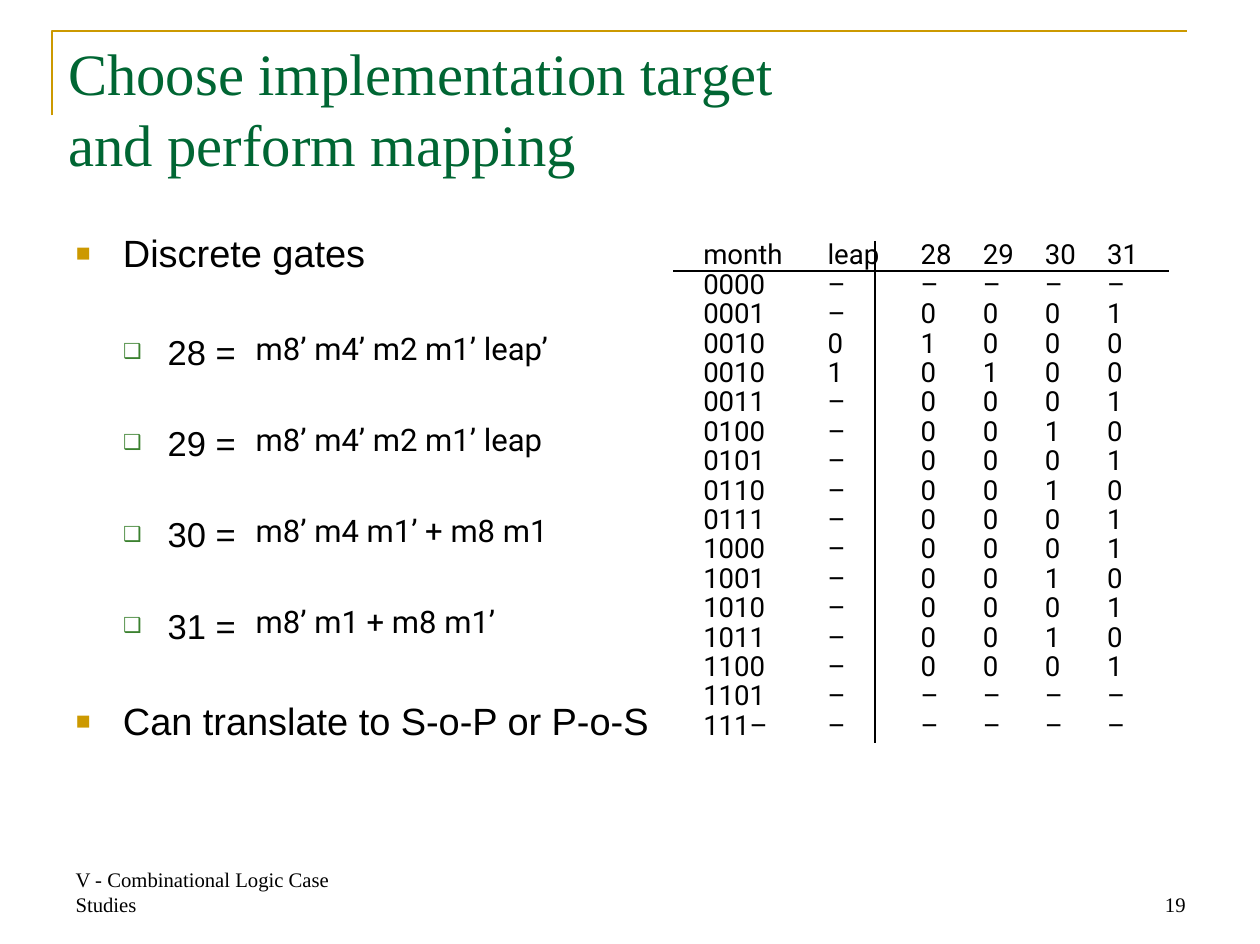
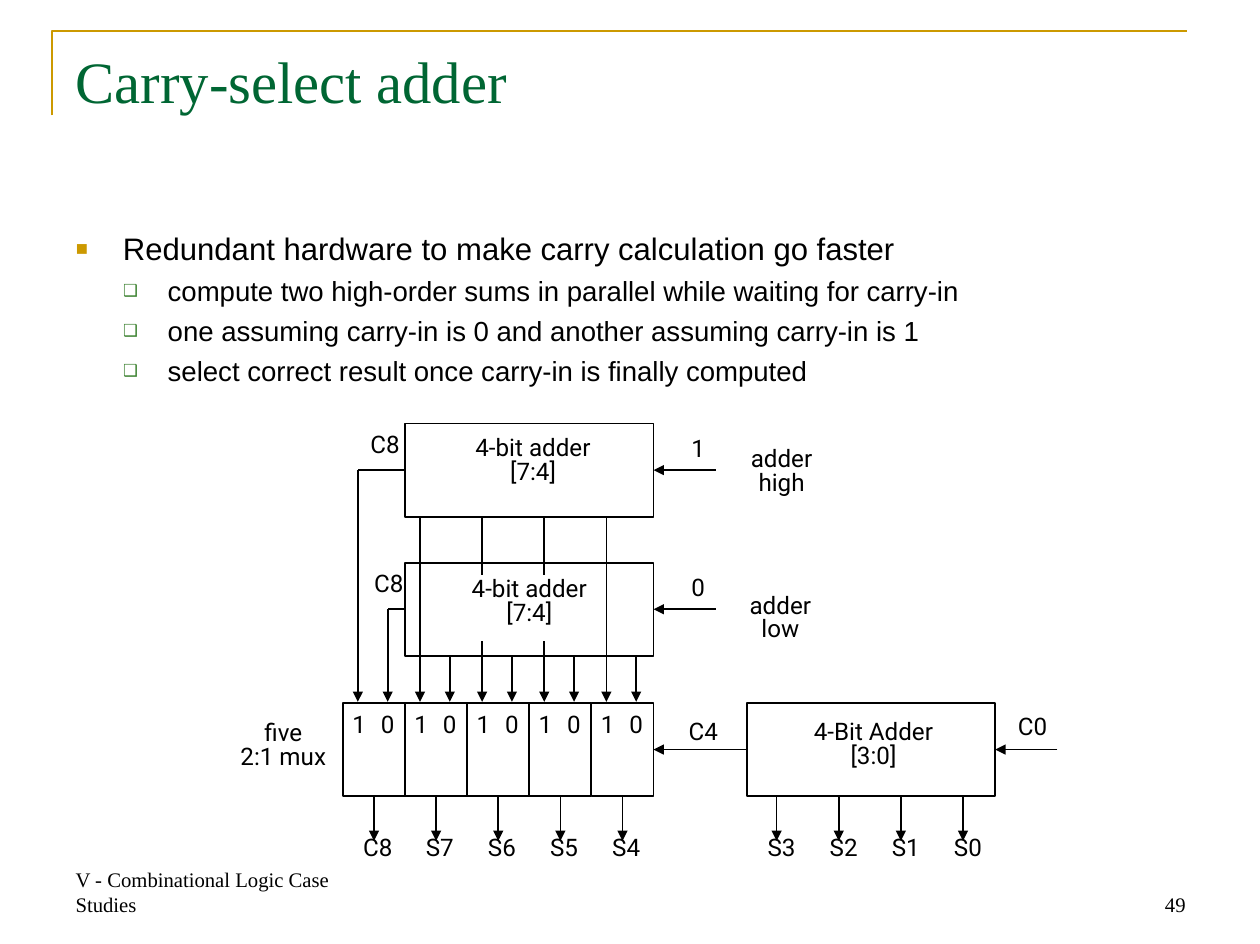
import copy

import pptx
import pptx.chart.data
import pptx.dml.color
import pptx.enum.shapes
import pptx.enum.text
import pptx.oxml.ns
import pptx.util
from lxml import etree

Inches = pptx.util.Inches
Pt = pptx.util.Pt
qn = pptx.oxml.ns.qn
ALIGN = pptx.enum.text.PP_ALIGN
ANCHOR = pptx.enum.text.MSO_ANCHOR

BLACK, WHITE, GOLD, GREEN, LEAF = "000000", "FFFFFF", "CC9900", "006633", "3B812F"
TOP, LEFT, BOTTOM, RIGHT = range(4)

TITLE = {"name": "Times New Roman", "size": Pt(34), "color": GREEN}
FOOTER = {"name": "Times New Roman", "size": Pt(12), "color": BLACK}
BODY = {"name": "Arial", "color": BLACK}
DIAGRAM = {"name": "Roboto", "size": Pt(14), "color": BLACK}
FORMULA = {"name": "Roboto", "size": Pt(18), "color": BLACK}
TABLE = {"name": "Roboto", "size": Pt(16), "color": BLACK}

# character, colour, size in %, left margin, hanging indent
BULLETS = [("■", GOLD, 65, 0.38, 0.38), ("❑", LEAF, 60, 0.74, 0.36)]

TRUTH_TABLE = """month leap 28 29 30 31
0000 – – – – –
0001 – 0 0 0 1
0010 0 1 0 0 0
0010 1 0 1 0 0
0011 – 0 0 0 1
0100 – 0 0 1 0
0101 – 0 0 0 1
0110 – 0 0 1 0
0111 – 0 0 0 1
1000 – 0 0 0 1
1001 – 0 0 1 0
1010 – 0 0 0 1
1011 – 0 0 1 0
1100 – 0 0 0 1
1101 – – – – –
111– – – – – –"""


def rgb(value):
    return pptx.dml.color.RGBColor.from_string(value)


def assign(obj, values):
    for name, value in values.items():
        setattr(obj, name, value)


def write(p, text, style, **layout):
    """Fill a paragraph; \\v breaks a line and keeps the run's format."""
    p.text = text
    assign(p, layout)
    for r in p.runs:
        assign(r.font, {k: v for k, v in style.items() if k != "color"})
        r.font.color.rgb = rgb(style["color"])
    for br in p._p.findall(qn("a:br")):
        br.insert(0, copy.deepcopy(p.runs[0]._r.rPr))


def add_bullet(p, level):
    char, color, size, margin, hang = BULLETS[level]
    p.level = level
    pPr = p._p.get_or_add_pPr()
    pPr.set("marL", str(Inches(margin)))
    pPr.set("indent", str(-Inches(hang)))
    clr = etree.SubElement(pPr, qn("a:buClr"))
    etree.SubElement(clr, qn("a:srgbClr"), val=color)
    etree.SubElement(pPr, qn("a:buSzPct"), val=str(size * 1000))
    etree.SubElement(pPr, qn("a:buChar"), char=char)


class Deck:
    def __init__(self):
        self.prs = pptx.Presentation()
        self.prs.slide_width, self.prs.slide_height = Inches(10.14), Inches(7.6)
        self.s = None

    def new_slide(self, number, title, x, y):
        """Start a slide with its frame, footer, number and title."""
        self.s = self.prs.slides.add_slide(self.prs.slide_layouts[1])
        fb = self.s.shapes.build_freeform(Inches(0.42), Inches(0.93))
        fb.add_line_segments([(Inches(0.42), Inches(0.25)),
                              (Inches(9.55), Inches(0.25))], close=False)
        self.outline(fb.convert_to_shape(), GOLD, 1.5)
        self.text(0.51, 6.92, 2.37, 0.51, "V - Combinational Logic Case Studies",
                  FOOTER, anchor=ANCHOR.BOTTOM)
        self.text(7.27, 6.92, 2.37, 0.51, str(number), FOOTER,
                  anchor=ANCHOR.BOTTOM, alignment=ALIGN.RIGHT)
        tf = self.placeholder(self.s.shapes.title, x, y, 9.12, 1.26)
        write(tf.paragraphs[0], title, TITLE, alignment=ALIGN.LEFT)

    def placeholder(self, sp, x, y, w, h):
        assign(sp, {"left": Inches(x), "top": Inches(y),
                    "width": Inches(w), "height": Inches(h)})
        assign(sp.text_frame, {"vertical_anchor": ANCHOR.TOP, "word_wrap": True,
                               "auto_size": pptx.enum.text.MSO_AUTO_SIZE.NONE})
        return sp.text_frame

    def bullets(self, items, sizes):
        """items: (level, text, space before in points); sizes: points by level."""
        tf = self.placeholder(self.s.placeholders[1], 0.51, 1.8, 9.12, 4.99)
        for i, (level, text, gap) in enumerate(items):
            p = tf.add_paragraph() if i else tf.paragraphs[0]
            add_bullet(p, level)
            write(p, text, {**BODY, "size": Pt(sizes[level])}, space_before=Pt(gap))

    def text(self, x, y, w, h, text, style, anchor=ANCHOR.TOP, **layout):
        sp = self.s.shapes.add_textbox(Inches(x), Inches(y), Inches(w), Inches(h))
        assign(sp.text_frame, {"word_wrap": True, "vertical_anchor": anchor})
        write(sp.text_frame.paragraphs[0], text, style, **layout)
        return sp

    def label(self, cx, y, text, w=0.6, h=0.33):
        """Diagram text centred on cx."""
        sp = self.text(cx - w / 2, y, w, h, text, DIAGRAM,
                       alignment=ALIGN.CENTER, line_spacing=Pt(13.9))
        assign(sp.text_frame, {"margin_left": 0, "margin_right": 0,
                               "margin_top": Inches(0.03),
                               "margin_bottom": Inches(0.03)})
        return sp

    def outline(self, sp, color=BLACK, width=1):
        sp.shadow.inherit = False
        sp.fill.background()
        sp.line.color.rgb = rgb(color)
        sp.line.width = Pt(width)

    def box(self, x, y, w):
        sp = self.s.shapes.add_shape(pptx.enum.shapes.MSO_SHAPE.RECTANGLE,
                                     Inches(x), Inches(y), Inches(w), Inches(0.75))
        self.outline(sp)
        return sp

    def line(self, x1, y1, x2, y2, arrow=False, begin=None, end=None):
        """begin and end are optional (shape, side) joints."""
        c = self.s.shapes.add_connector(pptx.enum.shapes.MSO_CONNECTOR.STRAIGHT,
                                        Inches(x1), Inches(y1), Inches(x2), Inches(y2))
        c.line.color.rgb = rgb(BLACK)
        c.line.width = Pt(1)
        spPr = c.element.spPr
        if arrow:
            etree.SubElement(spPr.find(qn("a:ln")), qn("a:tailEnd"), type="triangle")
        etree.SubElement(spPr, qn("a:effectLst"))
        if begin:
            c.begin_connect(*begin)
        if end:
            c.end_connect(*end)

    def table(self, x, y, widths, rows):
        row_h = Pt(17)
        tbl = self.s.shapes.add_table(len(rows), len(widths), Inches(x), Inches(y),
                                      Inches(sum(widths)), row_h * len(rows)).table
        assign(tbl, {"first_row": False, "horz_banding": False})
        for col, w in zip(tbl.columns, widths):
            col.width = Inches(w)
        for row, values in zip(tbl.rows, rows):
            row.height = row_h
            for cell, value in zip(row.cells, values):
                cell.fill.background()
                assign(cell, dict.fromkeys(("margin_left", "margin_right",
                                            "margin_top", "margin_bottom"), 0))
                write(cell.text_frame.paragraphs[0], value, TABLE, line_spacing=row_h)


def mapping_slide(d):
    d.new_slide(19, "Choose implementation target\vand perform mapping", 0.45, 0.25)
    d.bullets([(0, "Discrete gates", 0), (1, "28 =", 32), (1, "29 =", 29),
               (1, "30 =", 29), (1, "31 =", 29),
               (0, "Can translate to S-o-P or P-o-S", 30)], (22, 20))
    formulas = ["m8’ m4’ m2 m1’ leap’", "m8’ m4’ m2 m1’ leap",
                "m8’ m4 m1’ + m8 m1", "m8’ m1 + m8 m1’"]
    for i, formula in enumerate(formulas):
        d.text(1.96, 2.6 + 0.735 * i, 2.8, 0.4, formula, FORMULA)
    d.table(5.66, 1.95, [1, 0.75] + [0.5] * 4,
            [row.split() for row in TRUTH_TABLE.splitlines()])
    d.line(5.42, 2.18, 9.41, 2.18)
    d.line(7.04, 1.94, 7.04, 5.98)


def adder_slide(d):
    d.new_slide(49, "Carry-select adder", 0.51, 0.31)
    d.bullets([
        (0, "Redundant hardware to make carry calculation go faster", 0),
        (1, "compute two high-order sums in parallel while waiting for carry-in", 4),
        (1, "one assuming carry-in is 0 and another assuming carry-in is 1", 4),
        (1, "select correct result once carry-in is finally computed", 4)], (18, 16))

    high_y, low_y, mux_y, half, step = 3.41, 4.53, 5.66, 0.375, 0.5
    mux_bottom = mux_y + 2 * half
    high, low = d.box(3.26, high_y, 2), d.box(3.26, low_y, 2)
    adder = d.box(6.01, mux_y, 2)
    muxes = [d.box(2.76 + step * i, mux_y, step) for i in range(5)]

    # Sums of both high-order adders enter the muxes side by side
    for i in range(1, 5):
        for x, y in ((2.88, high_y), (3.12, low_y)):
            d.line(x + step * i, y + 2 * half, x + step * i, 5.65, arrow=True)
    # Carry-in and carry-out of the two high-order adders
    for sp, y, carry, x, cx in ((high, high_y, "1", 2.88, 3.1),
                                (low, low_y, "0", 3.12, 3.13)):
        mid = y + half
        d.line(5.76, mid, 5.26, mid, arrow=True, end=(sp, RIGHT))
        d.line(3.26, mid, x, mid, begin=(sp, LEFT))
        d.line(x, mid, x, 5.65, arrow=True)
        d.label(5.62, y + 0.09, carry)
        d.label(cx, y + 0.06, "C8", w=0.4)

    for i, (mux, out) in enumerate(zip(muxes, ["C8", "S7", "S6", "S5", "S4"])):
        x = 3.01 + step * i
        d.line(x, mux_bottom, x, 6.77, arrow=True, begin=(mux, BOTTOM))
        d.label(x + 0.03, 6.71, out)
        d.label(x - 0.12, 5.72, "1", w=0.2)
        d.label(x + 0.11, 5.72, "0", w=0.2)
    for i, out in enumerate(["S3", "S2", "S1", "S0"]):
        x = 6.25 + step * i
        d.line(x, mux_bottom, x, 6.77, arrow=True)
        d.label(x + 0.04, 6.71, out)

    mid = mux_y + half
    d.line(6.01, mid, 5.26, mid, arrow=True, begin=(adder, LEFT), end=(muxes[-1], RIGHT))
    d.line(8.51, mid, 8.01, mid, arrow=True, end=(adder, RIGHT))
    d.label(5.66, 5.78, "C4")
    d.label(8.31, 5.74, "C0")

    for cx, y, text in ((4.29, 3.49, "4-bit adder\v[7:4]"),
                        (7.03, 5.78, "4-Bit Adder\v[3:0]"),
                        (2.28, 5.79, "five\v2:1 mux"),
                        (6.29, 3.58, "adder\vhigh"),
                        (6.28, 4.76, "adder\vlow")):
        d.label(cx, y, text, w=1.12, h=0.53)
    sp = d.label(4.26, 4.63, "4-bit adder\v[7:4]", w=1.12, h=0.53)
    sp.fill.solid()
    sp.fill.fore_color.rgb = rgb(WHITE)


def main():
    d = Deck()
    mapping_slide(d)
    adder_slide(d)
    d.prs.save("out.pptx")


if __name__ == "__main__":
    main()
